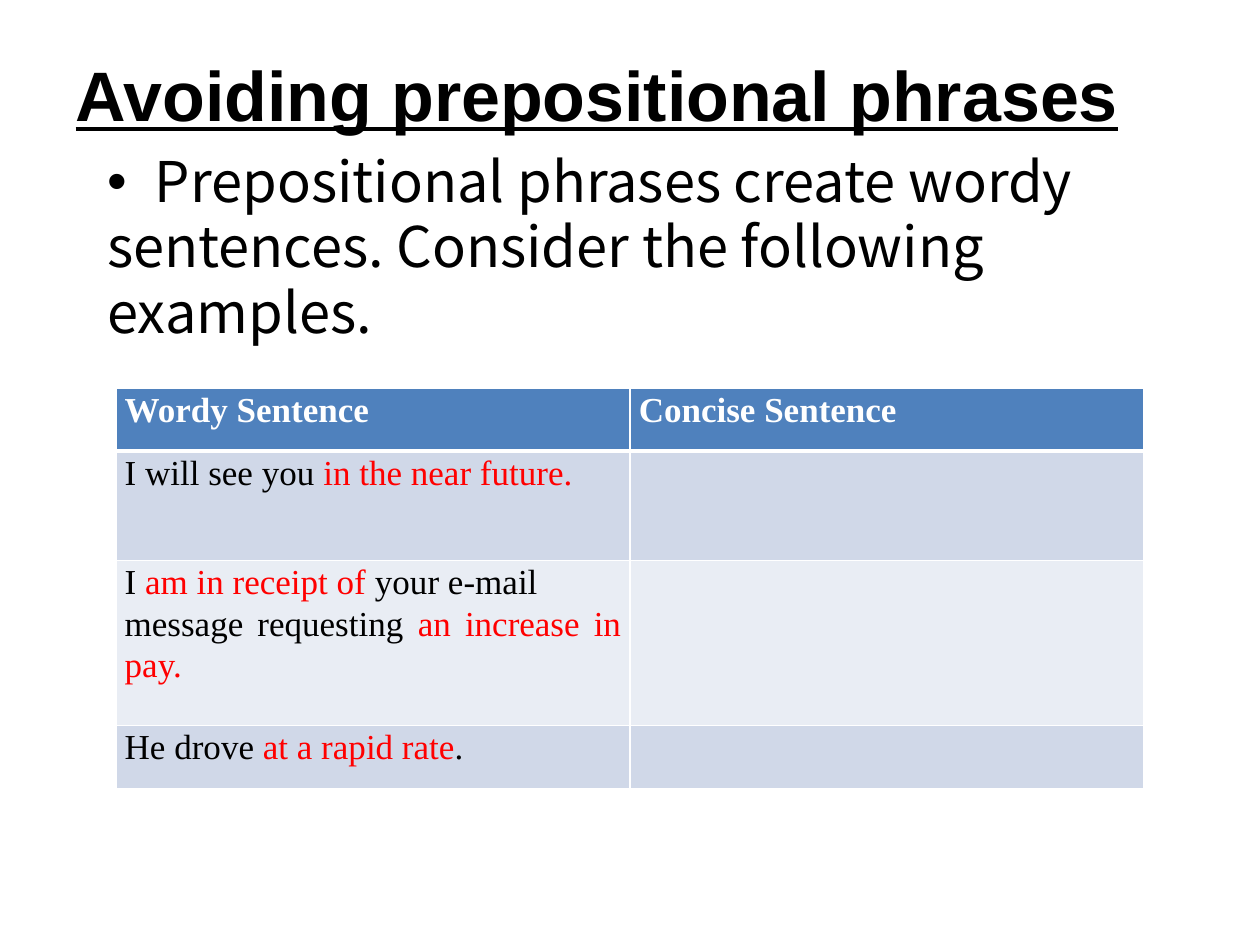
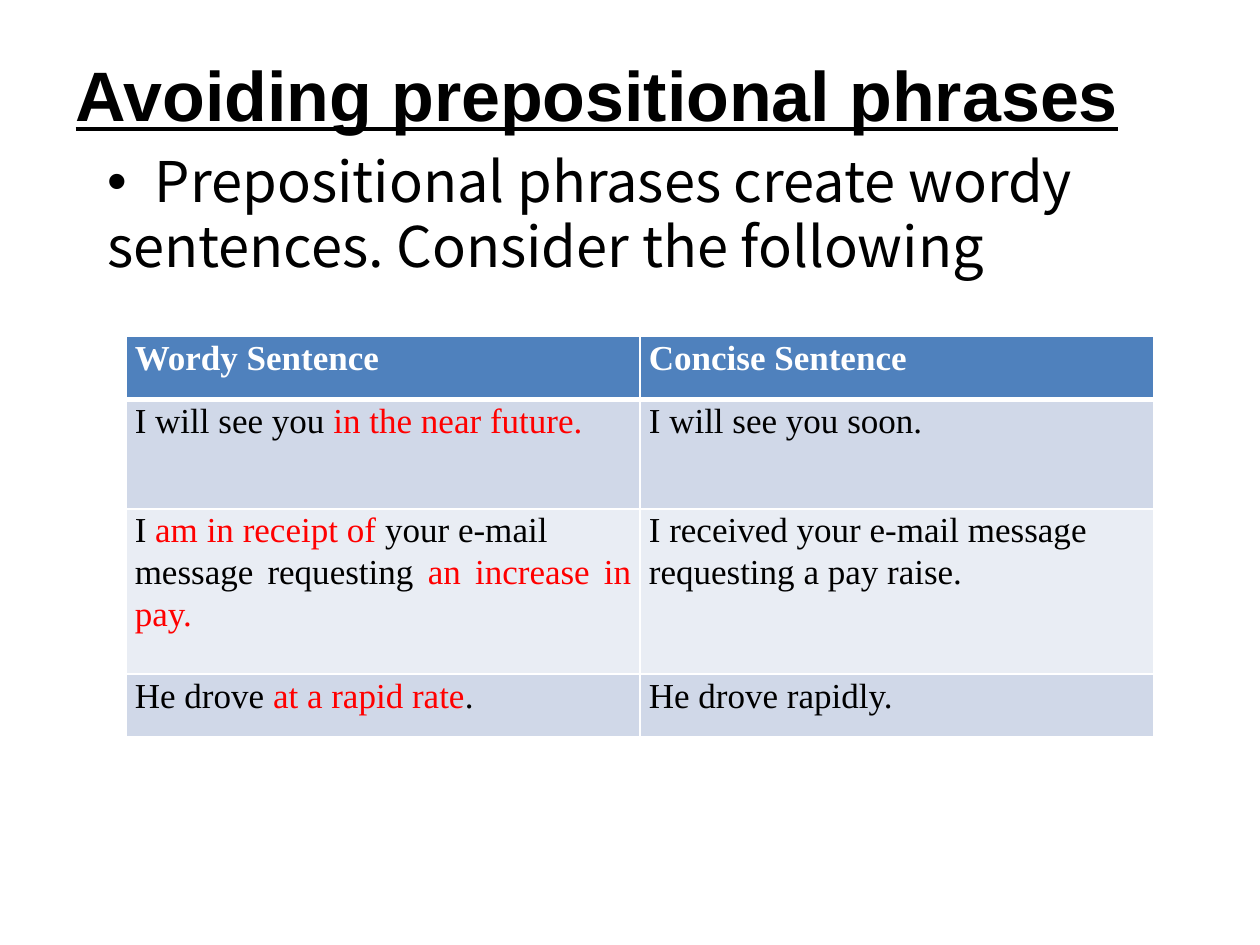
from dataclasses import dataclass

from lxml import etree
from pptx import Presentation, util as u
from pptx.dml.color import RGBColor
from pptx.enum import text as t
from pptx.oxml import ns


@dataclass(frozen=True)
class Theme:
    ink: str = "000000"
    mark: str = "FF0000"
    paper: str = "FFFFFF"
    head: str = "4F81BD"
    bands: tuple = ("D0D8E8", "E9EDF4")
    title: tuple = ("Arial", 40)
    body: tuple = ("Noto Sans CJK KR", 32)
    cell: tuple = ("Times New Roman", 20)


LOOK = Theme()
HEADING = "Avoiding prepositional phrases"
INTRO = [
    "Prepositional phrases create wordy",
    "sentences. Consider the following",
    "examples.",
]
HEADS = [["Wordy Sentence"], ["Concise Sentence"]]
WORDY = [
    ["I will see you |in the near future."],
    ["I |am in receipt of |your e-mail", "message requesting |an increase in pay."],
    ["He drove |at a rapid rate|."],
]
CONCISE = [
    ["I will see you soon."],
    ["I received your e-mail message", "requesting a pay raise."],
    ["He drove rapidly."],
]
ROWS = (0.5, 0.87, 1.31, 0.5)
COLS = (4.08, 4.08)


def apply(obj, **values):
    for name, value in values.items():
        setattr(obj, name, value)


def style(font, face, color, **more):
    name, size = face
    apply(font, name=name, size=u.Pt(size), **more)
    font.color.rgb = RGBColor.from_string(color)


def place(shape, box):
    names = ("left", "top", "width", "height")
    apply(shape, **{name: u.Inches(size) for name, size in zip(names, box)})


def frame_of(shape, box, pad):
    place(shape, box)
    frame = shape.text_frame
    apply(frame, word_wrap=True, auto_size=t.MSO_AUTO_SIZE.NONE,
          vertical_anchor=t.MSO_ANCHOR.TOP, margin_top=u.Inches(pad))
    return frame


def lines_of(frame, lines):
    for i, line in enumerate(lines):
        para = frame.add_paragraph() if i else frame.paragraphs[0]
        yield i, para, line


def add_title(slide, box):
    frame = frame_of(slide.shapes.title, box, 0.11)
    para = frame.paragraphs[0]
    para.alignment = t.PP_ALIGN.LEFT
    run = para.add_run()
    run.text = HEADING
    style(run.font, LOOK.title, LOOK.ink, bold=True, underline=True)


def set_bullet(para, char=None):
    props = para._p.get_or_add_pPr()
    hang = u.Inches(0.38) if char else 0
    props.set("marL", str(hang))
    props.set("indent", str(-hang))
    if char:
        etree.SubElement(props, ns.qn("a:buChar")).set("char", char)
    else:
        etree.SubElement(props, ns.qn("a:buNone"))


def add_intro(slide, box, lines):
    frame = frame_of(slide.placeholders[1], box, 0.05)
    for i, para, line in lines_of(frame, lines):
        set_bullet(para, None if i else "•")
        apply(para, line_spacing=0.9, space_before=u.Pt(3 if i else 0))
        run = para.add_run()
        run.text = line
        style(run.font, LOOK.body, LOOK.ink)


def add_edges(cell, base):
    props = cell._tc.get_or_add_tcPr()
    for side, width in zip("LRTB", (1, 1, 1, base)):
        edge = etree.SubElement(props, ns.qn("a:ln" + side))
        edge.set("w", str(u.Pt(width)))
        fill = etree.SubElement(edge, ns.qn("a:solidFill"))
        etree.SubElement(fill, ns.qn("a:srgbClr")).set("val", LOOK.paper)


def fill_cell(cell, lines, row):
    head = row == 0
    add_edges(cell, 3 if head else 1)
    cell.fill.solid()
    tint = LOOK.head if head else LOOK.bands[(row - 1) % 2]
    cell.fill.fore_color.rgb = RGBColor.from_string(tint)
    side = u.Inches(0.07)
    apply(cell, margin_left=side, margin_right=side, margin_top=0, margin_bottom=0)
    for _, para, line in lines_of(cell.text_frame, lines):
        apply(para, alignment=t.PP_ALIGN.JUSTIFY, line_spacing=1.07)
        for part, words in enumerate(line.split("|")):
            run = para.add_run()
            run.text = words
            plain = LOOK.paper if head else LOOK.ink
            style(run.font, LOOK.cell, LOOK.mark if part % 2 else plain, bold=head)


def add_pairs(slide, left, top, answers):
    box = (left, top, sum(COLS), sum(ROWS))
    shape = slide.shapes.add_table(len(ROWS), len(COLS), *map(u.Inches, box))
    table = shape.table
    for col, width in zip(table.columns, COLS):
        col.width = u.Inches(width)
    for row, height in zip(table.rows, ROWS):
        row.height = u.Inches(height)
    for r, pair in enumerate([HEADS, *zip(WORDY, answers)]):
        for c, lines in enumerate(pair):
            fill_cell(table.cell(r, c), lines, r)


def add_page(deck, intro, left, top, answers):
    slide = deck.slides.add_slide(deck.slide_layouts[1])
    add_title(slide, (0.5, 0.3, 9, 1.25))
    add_intro(slide, (0.75, 1.17, 9, 4.95), intro)
    add_pairs(slide, left, top, answers)


def main():
    deck = Presentation()
    apply(deck, slide_width=u.Inches(10), slide_height=u.Inches(7.5))
    add_page(deck, INTRO, 0.92, 3.08, [[]] * len(WORDY))
    add_page(deck, INTRO[:2], 1, 2.67, CONCISE)
    deck.save("out.pptx")


if __name__ == "__main__":
    main()
